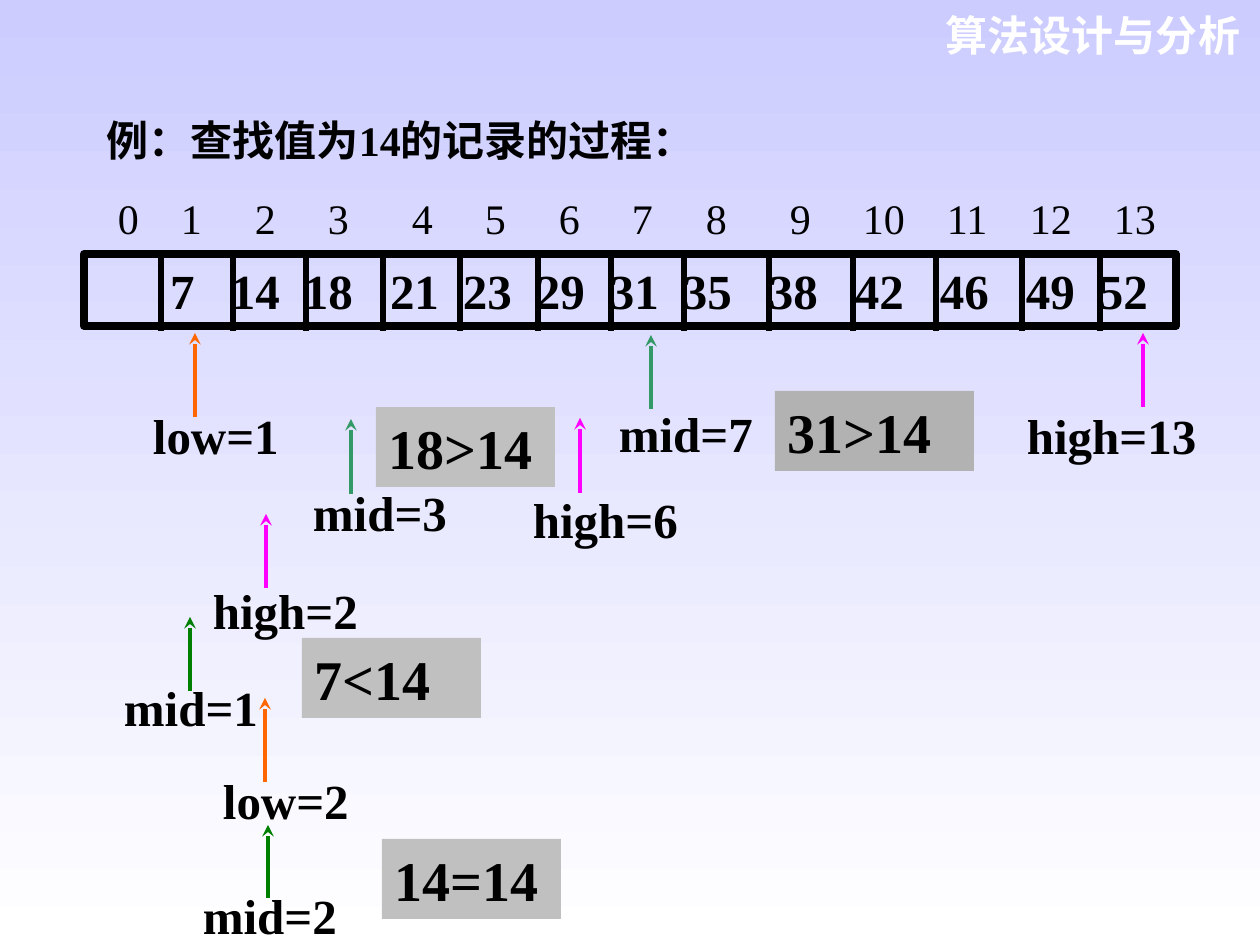
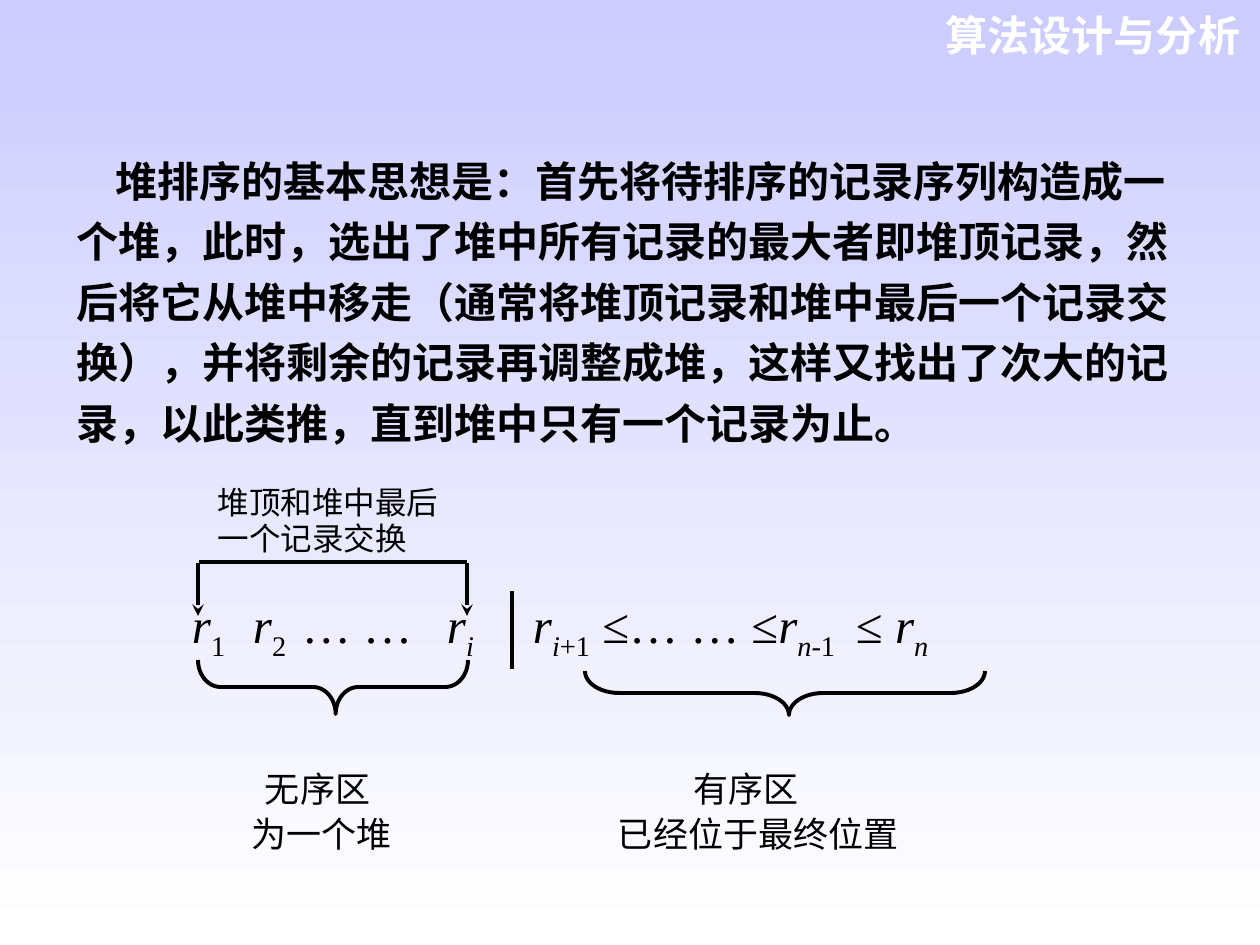
from dataclasses import dataclass

from lxml import etree
from pptx import Presentation
from pptx import util as u
from pptx.dml.color import RGBColor
from pptx.enum import shapes, text
from pptx.oxml.ns import qn

PX_PER_INCH = 126


@dataclass(frozen=True)
class Theme:
    sky: str = "CCCCFF"
    white: str = "FFFFFF"
    ink: str = "000000"
    low: str = "FF6600"
    high: str = "FF00FF"
    mid: str = "339966"
    late_mid: str = "008000"
    grey: str = "C0C0C0"
    dark_grey: str = "B2B2B2"
    serif: str = "Times New Roman"
    sans: str = "Arial"
    chinese: str = "Noto Sans CJK SC"
    note: float = 18
    caption: float = 20
    body: float = 24
    value: float = 28
    compare: float = 32
    heading_line: float = 31
    thin: float = 2.25
    divider: float = 3
    frame: float = 4.5


def px(length):
    return u.Emu(round(length * 914400 / PX_PER_INCH))


def rgb(colour):
    return RGBColor.from_string(colour)


class Painter:
    def __init__(self, theme):
        self.theme = theme
        self.deck = Presentation()
        self.deck.slide_width, self.deck.slide_height = px(1260), px(945)
        fill = self.deck.slide_master.background.fill
        fill.gradient()
        fill.gradient_angle = 270
        for stop, colour in zip(fill.gradient_stops, (theme.sky, theme.white)):
            stop.color.rgb = rgb(colour)
        self.page = None

    def new_page(self):
        self.page = self.deck.slides.add_slide(self.deck.slide_layouts[6])
        self.text("算法设计与分析", 912, 0, 341, 63, self.theme.body, bold=True,
                  colour=self.theme.white, font=self.theme.sans,
                  align=text.PP_ALIGN.RIGHT, line=u.Pt(self.theme.heading_line))

    def style_span(self, span, size, bold=False, italic=False, sub=False,
                   colour=None, font=None):
        span.font.size = u.Pt(size)
        span.font.bold, span.font.italic = bold, italic
        span.font.color.rgb = rgb(colour or self.theme.ink)
        span.font.name = font or self.theme.serif
        props = span._r.get_or_add_rPr()
        etree.SubElement(props, qn("a:ea")).set("typeface", self.theme.chinese)
        if sub:
            props.set("baseline", "-25000")

    def fill_frame(self, frame, words, size, inset=(13, 6), align=text.PP_ALIGN.LEFT,
                   line=None, indent=0, tabs=(), **style):
        """Write words, one paragraph a line; indent moves the first line only."""
        frame.word_wrap = True
        frame.margin_left = frame.margin_right = px(inset[0])
        frame.margin_top = frame.margin_bottom = px(inset[1])
        frame.text = words
        for number, para in enumerate(frame.paragraphs):
            para.alignment = align
            if line:
                para.line_spacing = line
            props = para._p.get_or_add_pPr()
            if indent and number == 0:
                props.set("marL", "0")
                props.set("indent", str(px(indent)))
            if tabs:
                self.add_tabs(props, tabs)
            for span in para.runs:
                self.style_span(span, size, **style)

    def add_tabs(self, props, stops):
        tab_list = etree.SubElement(props, qn("a:tabLst"))
        for stop in stops:
            etree.SubElement(tab_list, qn("a:tab"), pos=str(px(stop)), algn="l")

    def text(self, words, x, y, width, height, size, **options):
        box = self.page.shapes.add_textbox(px(x), px(y), px(width), px(height))
        self.fill_frame(box.text_frame, words, size, **options)
        return box

    def shape(self, kind, x, y, width, height, fill=None, line=None):
        shape = self.page.shapes.add_shape(kind, px(x), px(y), px(width), px(height))
        shape.shadow.inherit = False
        if fill:
            shape.fill.solid()
            shape.fill.fore_color.rgb = rgb(fill)
        else:
            shape.fill.background()
        if line:
            shape.line.color.rgb = rgb(self.theme.ink)
            shape.line.width = u.Pt(line)
        else:
            shape.line.fill.background()
        return shape

    def panel(self, words, x, y, width, height, size, fill=None, line=None, **options):
        box = self.shape(shapes.MSO_SHAPE.RECTANGLE, x, y, width, height, fill, line)
        box.text_frame.vertical_anchor = text.MSO_ANCHOR.MIDDLE
        self.fill_frame(box.text_frame, words, size, bold=True, **options)

    def brace(self, left, top, width, height, arm):
        """A brace that opens upward and points down, given by its visible frame."""
        x, y = left + (width - height) / 2, top + (height - width) / 2
        brace = self.shape(shapes.MSO_SHAPE.LEFT_BRACE, x, y, height, width,
                           line=self.theme.thin)
        brace.adjustments[0], brace.adjustments[1] = arm, 0.51
        brace.rotation = 270

    def line(self, x1, y1, x2, y2, colour=None, weight=None, arrow=False):
        line = self.page.shapes.add_connector(
            shapes.MSO_CONNECTOR.STRAIGHT, px(x1), px(y1), px(x2), px(y2))
        line.line.color.rgb = rgb(colour or self.theme.ink)
        line.line.width = u.Pt(weight or self.theme.thin)
        props = line._element.spPr
        if arrow:
            etree.SubElement(props.find(qn("a:ln")), qn("a:tailEnd"), type="stealth")
        etree.SubElement(props, qn("a:effectLst"))

    def marker(self, label, x, y, arrow_x, arrow_top, arrow_bottom, colour):
        """A search variable with an arrow up to the record it points at."""
        self.text(label, x, y, 190, 45, self.theme.value, inset=(0, 0),
                  bold=True, line=0.8)
        self.line(arrow_x, arrow_bottom, arrow_x, arrow_top, colour, arrow=True)

    def formula(self, parts, x, y, width, height, tabs):
        """Write (words, style) parts: i is italic, s is subscript."""
        box = self.text("", x, y, width, height, self.theme.value,
                        inset=(0, 0), tabs=tabs)
        for words, style in parts:
            span = box.text_frame.paragraphs[0].add_run()
            span.text = words
            self.style_span(span, self.theme.value, italic="i" in style,
                            sub="s" in style)


def binary_search(painter):
    theme = painter.theme
    painter.new_page()
    painter.text("例：查找值为14的记录的过程：", 94, 105, 1081, 63, theme.body,
                 bold=True, line=u.Pt(theme.heading_line))

    index_x = [181, 255, 328, 412, 485, 559, 632, 706, 790, 863, 947, 1030, 1114]
    painter.text("\t".join(str(index) for index in range(14)), 118, 193, 1098, 53,
                 theme.body, inset=(0, 0), tabs=[x - 118 for x in index_x])

    records = [7, 14, 18, 21, 23, 29, 31, 35, 38, 42, 46, 49, 52]
    record_x = [170, 231, 304, 390, 463, 536, 610, 683, 769, 855, 940, 1026, 1099]
    painter.panel("".join(f"\t{record}" for record in records), 84, 254, 1092, 72,
                  theme.value, line=theme.frame, tabs=[x - 97 for x in record_x])
    for x in (161, 233, 306, 383, 460, 538, 611, 684, 769, 853, 936, 1022, 1100):
        painter.line(x, 257, x, 331, weight=theme.divider)

    for marker in (
        ("low=1", 153, 417, 195, 333, 417, theme.low),
        ("high=13", 1027, 417, 1143, 333, 407, theme.high),
        ("mid=7", 619, 415, 651, 335, 409, theme.mid),
        ("high=6", 533, 501, 580, 418, 493, theme.high),
        ("mid=3", 313, 494, 351, 419, 494, theme.mid),
        ("high=2", 213, 592, 266, 514, 588, theme.high),
        ("mid=1", 124, 689, 190, 617, 691, theme.late_mid),
        ("low=2", 223, 782, 265, 698, 782, theme.low),
        ("mid=2", 203, 897, 268, 825, 898, theme.late_mid),
    ):
        painter.marker(*marker)

    for words, x, y, width, fill in (
        ("31>14", 775, 391, 199, theme.dark_grey),
        ("18>14", 376, 407, 179, theme.grey),
        ("7<14", 302, 638, 179, theme.grey),
        ("14=14", 382, 839, 179, theme.grey),
    ):
        painter.panel(words, x, y, width, 80, theme.compare, fill=fill)


def heap_sort(painter):
    theme = painter.theme
    painter.new_page()
    painter.text(
        "堆排序的基本思想是：首先将待排序的记录序列构造成一个堆，此时，"
        "选出了堆中所有记录的最大者即堆顶记录，然后将它从堆中移走"
        "（通常将堆顶记录和堆中最后一个记录交换），并将剩余的记录再调整成堆，"
        "这样又找出了次大的记录，以此类推，直到堆中只有一个记录为止。",
        64, 139, 1124, 315, theme.body, bold=True, line=u.Pt(34.6), indent=39)

    painter.formula(
        [("r", "i"), ("1", "s"), ("\t", ""), ("r", "i"), ("2", "s"),
         ("\t… …\t", ""), ("r", "i"), ("i", "is"), ("\t", ""),
         ("r", "i"), ("i", "is"), ("+1", "s"), (" ≤… … ≤", ""),
         ("r", "i"), ("n", "is"), ("-1", "s"), ("\t≤ ", ""),
         ("r", "i"), ("n", "is")],
        192, 595, 900, 70, tabs=[61, 110, 255, 341, 664])
    painter.line(512, 591, 512, 669)
    painter.brace(585, 671, 400, 44, arm=0.78)
    painter.brace(198, 660, 270, 54, arm=0.42)

    painter.line(199, 562, 467, 562)
    for x in (198, 467):
        painter.line(x, 563, x, 616, arrow=True)
    painter.text("堆顶和堆中最后\n一个记录交换", 218, 485, 239, 71, theme.note,
                 inset=(0, 0), line=u.Pt(20.5))

    for words, x, width, indent in (
        ("无序区\n为一个堆", 251, 180, 14),
        ("有序区\n已经位于最终位置", 618, 320, 75),
    ):
        painter.text(words, x, 764, width, 95, theme.caption, inset=(0, 0),
                     line=u.Pt(26), indent=indent)


def main():
    painter = Painter(Theme())
    binary_search(painter)
    heap_sort(painter)
    painter.deck.save("out.pptx")


if __name__ == "__main__":
    main()
